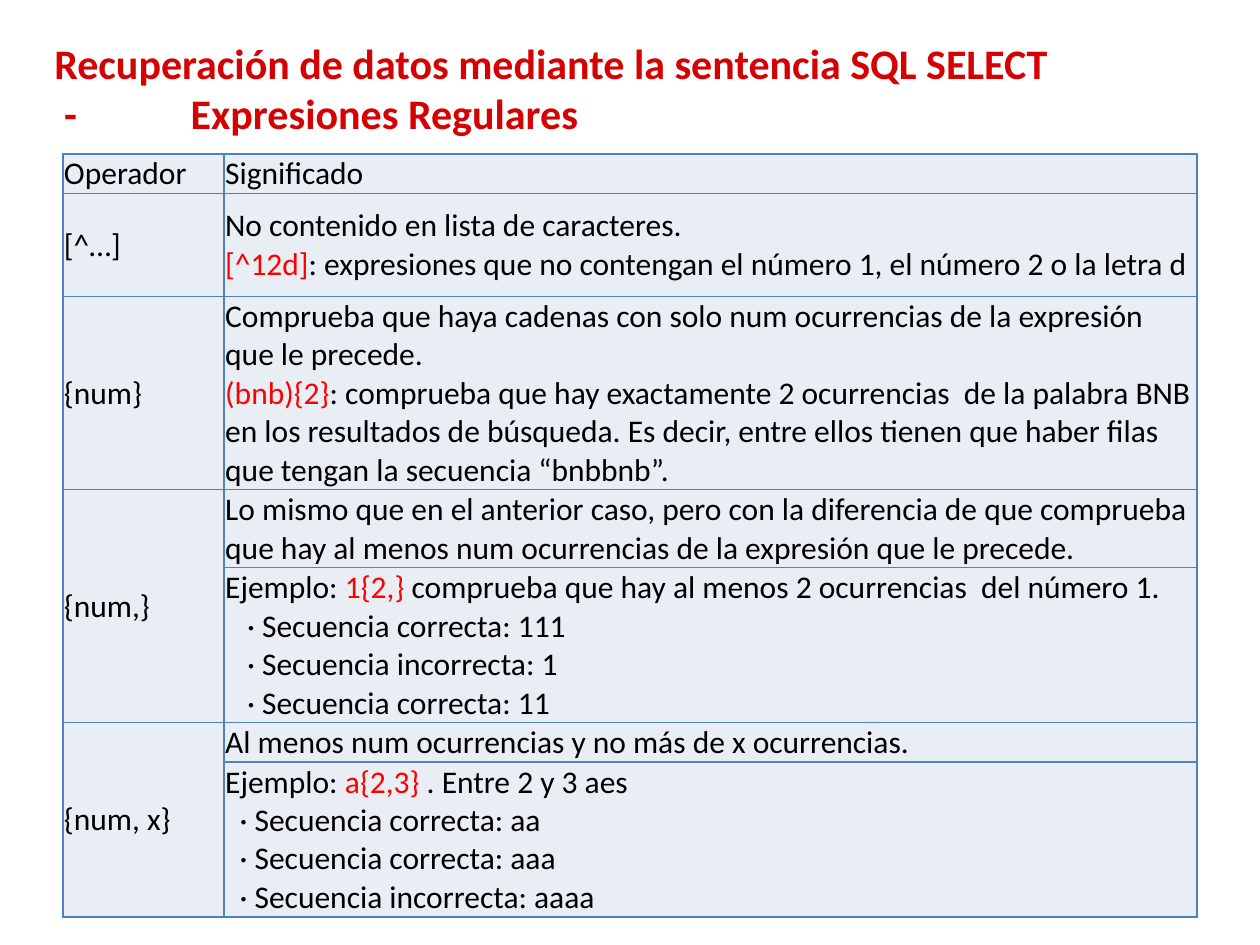
from lxml import etree
from pptx import Presentation
from pptx import util as u
from pptx.dml.color import RGBColor
from pptx.enum import text
from pptx.oxml import ns

TITLE_RED = RGBColor(0xD4, 0x02, 0x02)
CODE_RED = RGBColor(0xFF, 0x00, 0x00)
BLACK = RGBColor(0x00, 0x00, 0x00)
CELL_FILL = RGBColor(0xE9, 0xED, 0xF4)
BORDER = RGBColor(0x4F, 0x81, 0xBD)

TITLE = ("Recuperación de datos mediante la sentencia SQL SELECT\v"
         "\t-\tExpresiones Regulares")
TITLE_TABS = (0.2, 2.75)

# marker

ROWS = [
    (0.76, "Operador", ["Significado"]),
    (2.08, "[^…]", [
        "No contenido en lista de caracteres.",
        ("", "[^12d]", ": expresiones que no contengan el número 1, el número 2 o la letra d"),
    ]),
    (3.73, "{num}", [
        "Comprueba que haya cadenas con solo num ocurrencias de la expresión que le precede.",
        ("", "(bnb){2}", ": comprueba que hay exactamente 2 ocurrencias  de la palabra BNB "
         "en los resultados de búsqueda. Es decir, entre ellos tienen que haber filas "
         "que tengan la secuencia “bnbbnb”."),
    ]),
    (1.5, "{num,}", [
        "Lo mismo que en el anterior caso, pero con la diferencia de que comprueba "
        "que hay al menos num ocurrencias de la expresión que le precede.",
    ]),
    (3.07, None, [
        ("Ejemplo: ", "1{2,} ", "comprueba que hay al menos 2 ocurrencias  del número 1."),
        "· Secuencia correcta: 111",
        "· Secuencia incorrecta: 1",
        "· Secuencia correcta: 11",
    ]),
    (0.76, "{num, x}", ["Al menos num ocurrencias y no más de x ocurrencias."]),
    (3.05, None, [
        ("Ejemplo: ", "a{2,3}", " . Entre 2 y 3 aes"),
        "· Secuencia correcta: aa",
        "· Secuencia correcta: aaa",
        "· Secuencia incorrecta: aaaa",
    ]),
]
COLUMN_WIDTHS = (3.25, 19.61)
ITEM_INDENTS = {4: 0.44, 6: 0.29}

CELL_FORMAT = {
    "margin_left": u.Cm(0.02), "margin_right": u.Cm(0.02),
    "margin_top": u.Cm(0.02), "margin_bottom": 0,
    "vertical_anchor": text.MSO_ANCHOR.MIDDLE,
}
TITLE_FONT = {"name": "Calibri", "size": u.Pt(24), "bold": True}
CELL_FONT = {"name": "Calibri", "size": u.Pt(18), "bold": False}


def apply_format(target, values):
    for name, value in values.items():
        setattr(target, name, value)


def format_run(run, font, color):
    apply_format(run.font, font)
    run.font.color.rgb = color


def add_tabs(paragraph, positions):
    tabs = etree.SubElement(paragraph._p.get_or_add_pPr(), ns.qn("a:tabLst"))
    for position in positions:
        etree.SubElement(tabs, ns.qn("a:tab"), pos=str(u.Cm(position)), algn="l")


def add_borders(cell):
    properties = cell._tc.get_or_add_tcPr()
    for index, side in enumerate(("lnL", "lnR", "lnT", "lnB")):
        line = etree.Element(ns.qn("a:" + side), w=str(u.Pt(1)))
        fill = etree.SubElement(line, ns.qn("a:solidFill"))
        etree.SubElement(fill, ns.qn("a:srgbClr"), val=str(BORDER))
        properties.insert(index, line)


def fill_cell(cell, lines, indent=0):
    for index, line in enumerate(lines):
        frame = cell.text_frame
        paragraph = frame.add_paragraph() if index else frame.paragraphs[0]
        if line[0] == "·":
            paragraph._p.get_or_add_pPr().set("marL", str(u.Cm(indent)))
        parts = (line,) if isinstance(line, str) else line
        for position, part in enumerate(parts):
            if part:
                run = paragraph.add_run()
                run.text = part
                format_run(run, CELL_FONT, CODE_RED if position == 1 else BLACK)


def add_title(slide):
    title = slide.shapes.title
    apply_format(title, {"left": u.Cm(0.84), "top": u.Cm(0.48),
                         "width": u.Cm(22.25), "height": u.Cm(2.57)})
    apply_format(title.text_frame, {"text": TITLE, "word_wrap": True,
                                    "auto_size": text.MSO_AUTO_SIZE.NONE,
                                    "vertical_anchor": text.MSO_ANCHOR.MIDDLE})
    paragraph = title.text_frame.paragraphs[0]
    paragraph.alignment = text.PP_ALIGN.LEFT
    add_tabs(paragraph, TITLE_TABS)
    for run in paragraph.runs:
        format_run(run, TITLE_FONT, TITLE_RED)


def add_operator_table(slide):
    heights = [height for height, _, _ in ROWS]
    table = slide.shapes.add_table(
        len(ROWS), len(COLUMN_WIDTHS), u.Cm(1.27), u.Cm(3.1),
        u.Cm(sum(COLUMN_WIDTHS)), u.Cm(sum(heights))).table
    for column, width in zip(table.columns, COLUMN_WIDTHS):
        column.width = u.Cm(width)
    for index, (height, operator, meaning) in enumerate(ROWS):
        table.rows[index].height = u.Cm(height)
        if operator is None:
            table.cell(index - 1, 0).merge(table.cell(index, 0))
        else:
            fill_cell(table.cell(index, 0), [operator])
        fill_cell(table.cell(index, 1), meaning, ITEM_INDENTS.get(index, 0))
    for cell in table.iter_cells():
        apply_format(cell, CELL_FORMAT)
        cell.fill.solid()
        cell.fill.fore_color.rgb = CELL_FILL
        add_borders(cell)


def main():
    presentation = Presentation()
    apply_format(presentation, {"slide_width": u.Cm(25.4), "slide_height": u.Cm(19.05)})
    slide = presentation.slides.add_slide(presentation.slide_layouts[0])
    subtitle = slide.placeholders[1].element
    subtitle.getparent().remove(subtitle)
    add_title(slide)
    add_operator_table(slide)
    presentation.save("out.pptx")


if __name__ == "__main__":
    main()
